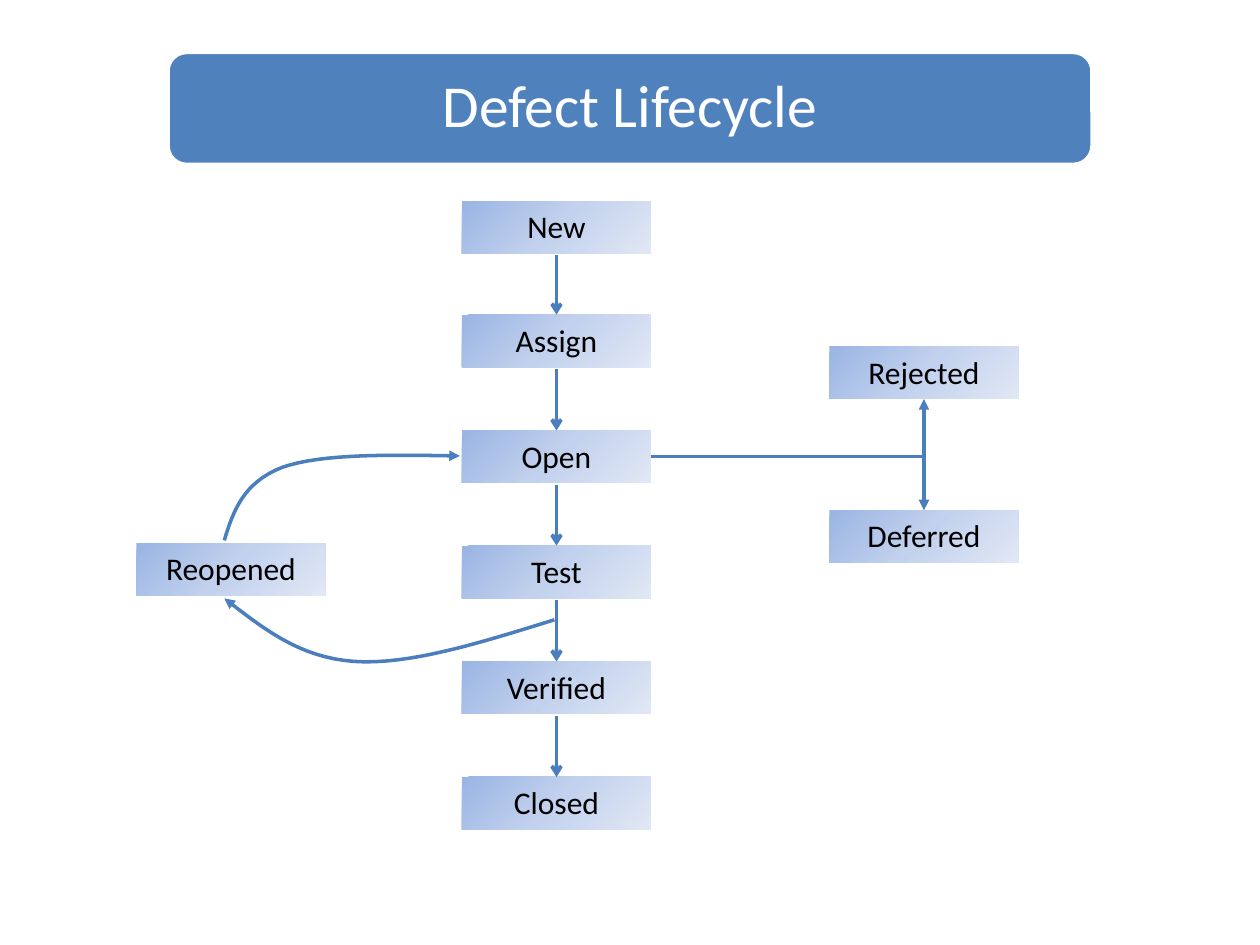
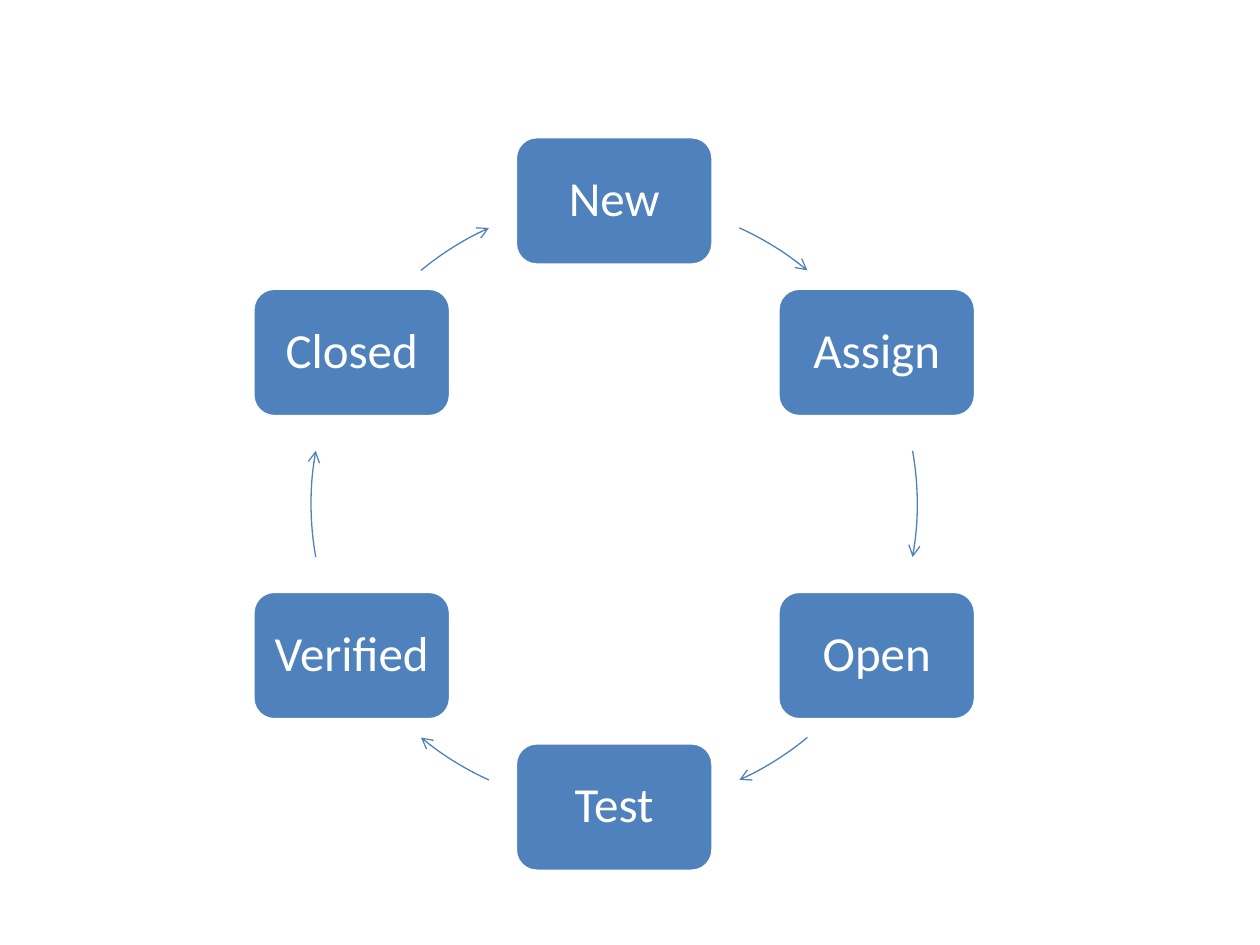
from copy import deepcopy
from math import cos, radians, sin

from lxml import etree
from pptx import Presentation
from pptx.dml.color import RGBColor
from pptx.enum.shapes import MSO_CONNECTOR, MSO_SHAPE
from pptx.enum.text import MSO_ANCHOR, PP_ALIGN
from pptx.oxml.ns import qn
from pptx.util import Pt

RECT = MSO_SHAPE.RECTANGLE
ROUNDED = MSO_SHAPE.ROUNDED_RECTANGLE
ARC = MSO_SHAPE.ARC
STRAIGHT = MSO_CONNECTOR.STRAIGHT
CENTER = PP_ALIGN.CENTER
TOP, MIDDLE = MSO_ANCHOR.TOP, MSO_ANCHOR.MIDDLE

FONT = "Calibri"
COLORS = {
    "blue": "4F81BD", "arrow": "4B7EBC", "white": "FFFFFF", "black": "000000",
    "state_start": "9AB5E4", "state_mid": "C2D1ED", "state_end": "E1E8F5",
}
COLORS = {name: RGBColor.from_string(value) for name, value in COLORS.items()}


def add_box(slide, kind, left, top, width, height, label, size):
    """Add a labelled box: solid blue if rounded, pale gradient if square."""
    box = slide.shapes.add_shape(kind, Pt(left), Pt(top), Pt(width), Pt(height))
    box.shadow.inherit = False
    frame = box.text_frame
    frame.word_wrap = True
    frame.margin_left = frame.margin_right = Pt(4)
    frame.margin_top = frame.margin_bottom = Pt(3.6)
    paragraph = frame.paragraphs[0]
    paragraph.alignment = CENTER
    if kind == ROUNDED:
        box.fill.solid()
        box.fill.fore_color.rgb = COLORS["blue"]
        box.line.color.rgb = COLORS["white"]
        box.line.width = Pt(2)
        frame.vertical_anchor = MIDDLE
        paragraph.line_spacing = 0.9
    else:
        box.fill.gradient()
        stop_list = box._element.spPr.find(".//" + qn("a:gsLst"))
        stop_list.insert(1, deepcopy(stop_list[0]))
        shades = ("state_start", "state_mid", "state_end")
        for stop, shade, position in zip(box.fill.gradient_stops, shades, (0, 0.5, 1)):
            stop.color.rgb = COLORS[shade]
            stop.position = position
        box.fill.gradient_angle = 315
        box.line.fill.background()
        frame.vertical_anchor = TOP
    run = paragraph.add_run()
    run.text = label
    run.font.name = FONT
    run.font.size = Pt(size)
    run.font.color.rgb = COLORS["white" if kind == ROUNDED else "black"]


def style_stroke(stroke, color, width, head=None, tail=None):
    """Set line colour, width and arrowheads, and switch the shadow off."""
    stroke.line.color.rgb = COLORS[color]
    stroke.line.width = Pt(width)
    properties = stroke._element.spPr
    outline = properties.find(qn("a:ln"))
    for end, arrow in (("a:headEnd", head), ("a:tailEnd", tail)):
        if arrow:
            etree.SubElement(outline, qn(end), type=arrow)
    etree.SubElement(properties, qn("a:effectLst"))


prs = Presentation()
prs.slide_width, prs.slide_height = Pt(720), Pt(540)
blank = prs.slide_layouts[6]
flow = prs.slides.add_slide(blank)
cycle = prs.slides.add_slide(blank)
stages = ["New", "Assign", "Open", "Test", "Verified", "Closed"]

# Flow of states
state_w, state_h = 108, 30
column_x, reopened_x, outcome_x = 264, 78, 474
stage_tops = [115, 179.8, 246, 311.8, 378, 444]
rejected_y, deferred_y = 198, 291.6
states = [(label, column_x, top) for label, top in zip(stages, stage_tops)]
states += [
    ("Reopened", reopened_x, 310.4),
    ("Rejected", outcome_x, rejected_y),
    ("Deferred", outcome_x, deferred_y),
]
for label, left, top in states:
    add_box(flow, RECT, left, top, state_w, state_h, label, 18)

column_mid, outcome_mid = column_x + state_w / 2, outcome_x + state_w / 2
open_mid = 261
links = [
    (column_mid, top + state_h + 1, column_mid, following, None, "arrow")
    for top, following in zip(stage_tops, stage_tops[1:])
]
links += [
    (column_x + state_w, open_mid, outcome_mid, open_mid, None, None),
    (outcome_mid, rejected_y + state_h, outcome_mid, deferred_y, "triangle", "triangle"),
]
for x1, y1, x2, y2, head, tail in links:
    link = flow.shapes.add_connector(STRAIGHT, Pt(x1), Pt(y1), Pt(x2), Pt(y2))
    style_stroke(link, "arrow", 2, head, tail)

# Each loop is a chain of cubic Bezier pieces that share their end points
reopened_to_open = [(128.2, 308.8), (133.2, 292.3), (139, 275.8), (161.3, 267.1),
                    (183.6, 259.2), (223.2, 259.9), (262.8, 260.6)]
test_to_reopened = [(316.8, 354.2), (275, 367.2), (234, 380.2), (202.3, 378),
                    (170.6, 375.8), (149.8, 358.6), (128.2, 342)]
steps = 16
for controls in (reopened_to_open, test_to_reopened):
    points = []
    for first in (0, 3):
        piece = controls[first:first + 4]
        for step in range(1, steps + 1):
            t = step / steps
            weights = ((1 - t) ** 3, 3 * t * (1 - t) ** 2, 3 * t * t * (1 - t), t ** 3)
            points.append([Pt(sum(w * p[axis] for w, p in zip(weights, piece)))
                           for axis in (0, 1)])
    start_x, start_y = controls[0]
    builder = flow.shapes.build_freeform(Pt(start_x), Pt(start_y))
    builder.add_line_segments(points, close=False)
    loop = builder.convert_to_shape()
    loop.fill.background()
    style_stroke(loop, "arrow", 2, tail="triangle")

add_box(flow, ROUNDED, 96, 30, 528, 64, "Defect Lifecycle", 34)

# Cycle of stages, angles clockwise from the top
center_x, center_y, radius = 351, 288, 173.2
node_w, node_h = 113, 73.4
for index, label in enumerate(stages):
    angle = radians(60 * index)
    x, y = center_x + radius * sin(angle), center_y - radius * cos(angle)
    add_box(cycle, ROUNDED, x - node_w / 2, y - node_h / 2, node_w, node_h, label, 28)

    # An arc adjustment of 0.6 is one degree, counted from three o'clock
    middle = (32, 90, 148, 212, 270, 328)[index]
    half_span = 10.1 if middle in (90, 270) else 7.6
    arc = cycle.shapes.add_shape(ARC, Pt(center_x - radius), Pt(center_y - radius),
                                 Pt(2 * radius), Pt(2 * radius))
    arc.adjustments[0] = (middle - half_span - 90) % 360 * 0.6
    arc.adjustments[1] = (middle + half_span - 90) % 360 * 0.6
    arc.fill.background()
    style_stroke(arc, "blue", 0.75, tail="arrow")

prs.save("out.pptx")
